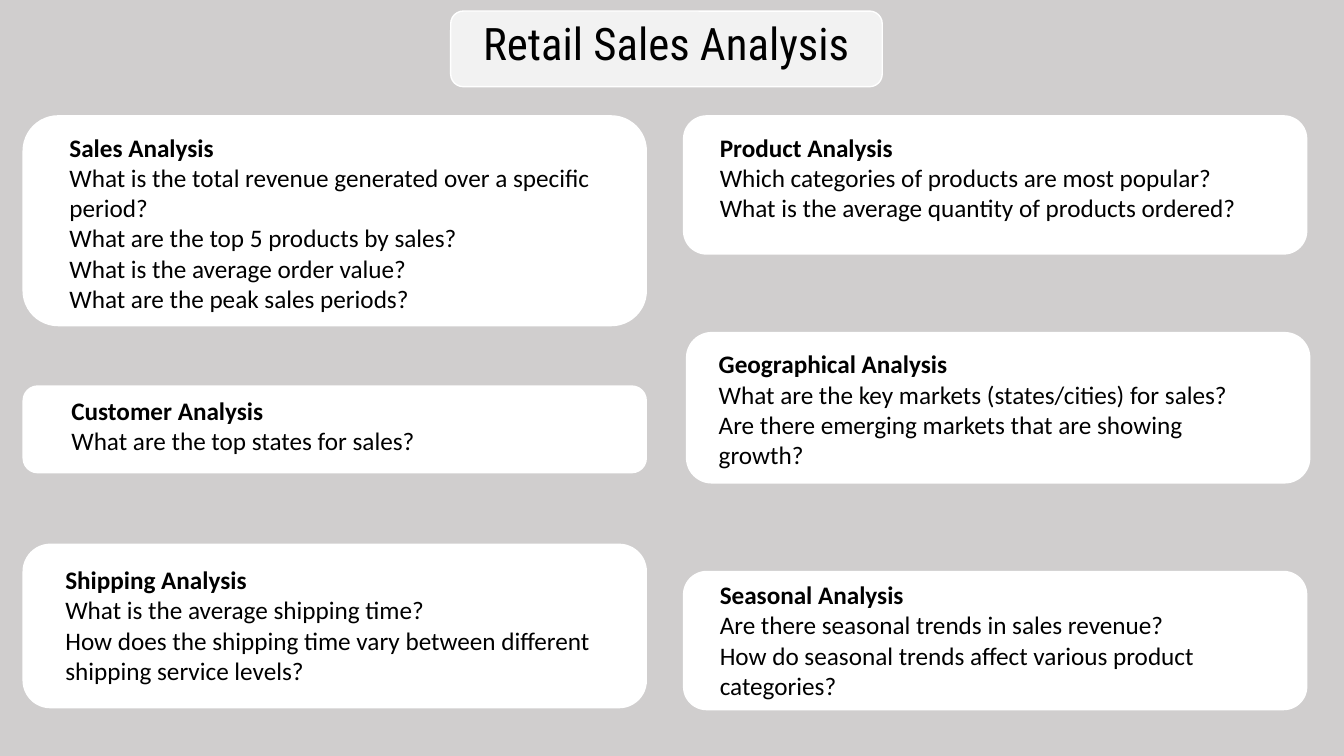
from pptx import Presentation
from pptx.dml.color import RGBColor
from pptx.enum.shapes import MSO_SHAPE as Shape
from pptx.enum.text import MSO_AUTO_SIZE as AutoSize, PP_ALIGN as Align
from pptx.util import Emu, Pt

PX = 9144
WIDTH, HEIGHT = 1333, 750
CARD_WIDTH = 618


def px(*lengths):
    return [Emu(length * PX) for length in lengths]


def color(value):
    return RGBColor.from_string(value)


class Slide:
    backdrop = "D0CECE"
    banner = "F2F2F2"
    white = "FFFFFF"
    ink = "000000"
    title_font = "Roboto Condensed"
    body_font = "Calibri"

    def __init__(self, deck):
        self.page = deck.slides.add_slide(deck.slide_layouts[6])

    def panel(self, kind, bounds, fill, line=None):
        box = self.page.shapes.add_shape(kind, *px(*bounds))
        box.shadow.inherit = False
        box.fill.solid()
        box.fill.fore_color.rgb = color(fill)
        if line:
            box.line.color.rgb = color(line)
            box.line.width = Pt(1)
        else:
            box.line.fill.background()

    def text(self, bounds, lines, font, size, bold_first=False, align=Align.LEFT):
        frame = self.page.shapes.add_textbox(*px(*bounds)).text_frame
        frame.word_wrap = True
        frame.auto_size = AutoSize.SHAPE_TO_FIT_TEXT
        frame.text = "\n".join(lines)
        for index, para in enumerate(frame.paragraphs):
            para.alignment = align
            para.font.name = font
            para.font.size = Pt(size)
            para.font.bold = bold_first and index == 0
            para.font.color.rgb = color(self.ink)

    def title(self, left, top, width, height, text_height, words):
        self.panel(Shape.ROUNDED_RECTANGLE, (left, top, width, height), self.banner, self.white)
        self.text((left, top, width, text_height), [words], self.title_font, 32, align=Align.CENTER)

    def card(self, left, top, height, text_bounds, heading, *questions):
        bounds = (left, top, CARD_WIDTH, height)
        self.panel(Shape.ROUNDED_RECTANGLE, bounds, self.white, self.white)
        self.text(text_bounds, [heading, *questions], self.body_font, 18, bold_first=True)


CARDS = [
    (23, 115, 208, (59, 126, 546, 192), "Sales Analysis",
     "What is the total revenue generated over a specific period?",
     "What are the top 5 products by sales?",
     "What is the average order value?",
     "What are the peak sales periods?"),
    (23, 383, 86, (61, 387, 583, 71), "Customer Analysis",
     "What are the top states for sales?"),
    (23, 540, 162, (55, 555, 587, 131), "Shipping Analysis",
     "What is the average shipping time?",
     "How does the shipping time vary between different shipping service levels?"),
    (678, 115, 137, (704, 126, 569, 101), "Product Analysis",
     "Which categories of products are most popular?",
     "What is the average quantity of products ordered?"),
    (681, 330, 149, (703, 341, 569, 131), "Geographical Analysis",
     "What are the key markets (states/cities) for sales?",
     "Are there emerging markets that are showing growth?"),
    (678, 567, 137, (704, 570, 592, 131), "Seasonal Analysis",
     "Are there seasonal trends in sales revenue?",
     "How do seasonal trends affect various product categories?"),
]


def main():
    deck = Presentation()
    deck.slide_width, deck.slide_height = px(WIDTH, HEIGHT)
    slide = Slide(deck)
    slide.panel(Shape.RECTANGLE, (0, 0, WIDTH, HEIGHT), slide.backdrop)
    slide.title(447, 11, 428, 75, 64, "Retail Sales Analysis")
    for card in CARDS:
        slide.card(*card)
    deck.save("out.pptx")


if __name__ == "__main__":
    main()
